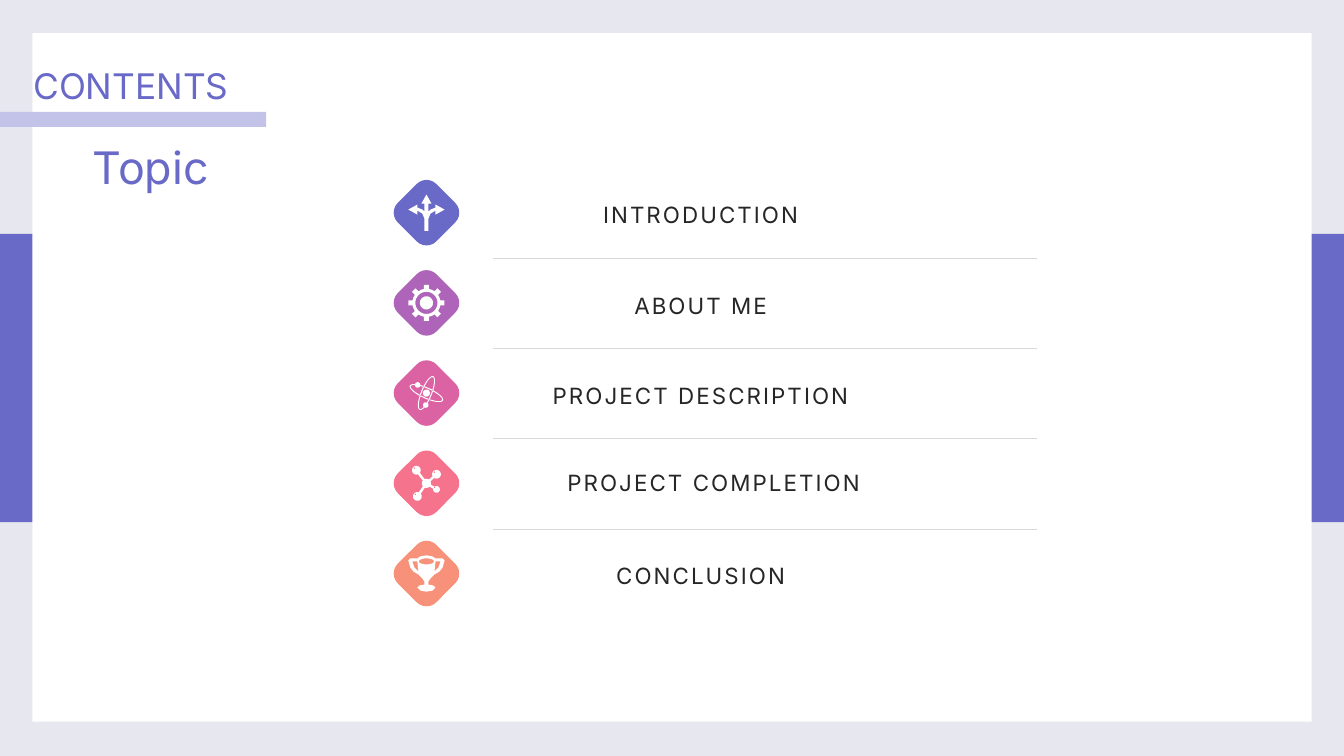
from math import atan2, cos, hypot, pi, radians, sin

from lxml.etree import SubElement
from pptx import Presentation
from pptx.dml.color import RGBColor
from pptx.enum.shapes import MSO_CONNECTOR, MSO_SHAPE
from pptx.enum.text import MSO_ANCHOR, MSO_AUTO_SIZE, PP_ALIGN
from pptx.oxml.ns import qn
from pptx.util import Inches, Pt

BACKGROUND = RGBColor(0xE7, 0xE7, 0xF0)
WHITE = RGBColor(0xFF, 0xFF, 0xFF)
INDIGO = RGBColor(0x69, 0x69, 0xC7)
LAVENDER = RGBColor(0xC3, 0xC3, 0xE9)
PURPLE = RGBColor(0xAE, 0x64, 0xB8)
PINK = RGBColor(0xDB, 0x63, 0xA3)
CORAL = RGBColor(0xF5, 0x73, 0x8C)
ORANGE = RGBColor(0xF7, 0x91, 0x79)
INK = RGBColor(0x26, 0x26, 0x26)
RULE = RGBColor(0xD9, 0xD9, 0xD9)

FIRST_ROW = 2.11
ROW_STEP = 0.895
ICON_X = 4.23
DIAMOND_SIZE = 0.54


def write_text(shape, text, size=16, color=INK, align=PP_ALIGN.LEFT,
               anchor=MSO_ANCHOR.TOP, line_spacing=None, tracking=None):
    frame = shape.text_frame
    frame.word_wrap = True
    frame.auto_size = MSO_AUTO_SIZE.NONE
    frame.vertical_anchor = anchor
    paragraph = frame.paragraphs[0]
    paragraph.alignment = align
    paragraph.line_spacing = line_spacing
    run = paragraph.add_run()
    run.text = text
    run.font.name = "Inter"
    run.font.size = Pt(size)
    run.font.color.rgb = color
    if tracking:
        run.font._element.set("spc", str(round(tracking * 100)))


def ellipse(x, y, radius_x, radius_y=None):
    radius_y = radius_y or radius_x
    angles = [2 * pi * step / 32 for step in range(32)]
    return [(x + radius_x * cos(a), y + radius_y * sin(a)) for a in angles]


def mirrored(half):
    """Close a right-hand outline with its reflection in the vertical axis."""
    return half + [(-x, y) for x, y in reversed(half)]


def arrows_icon():
    return [mirrored([(0, -0.18), (0.05, -0.09), (0.02, -0.09), (0.02, -0.01),
                      (0.04, -0.03), (0.09, -0.05), (0.09, -0.08), (0.18, -0.03),
                      (0.09, 0.02), (0.09, -0.02), (0.04, 0.01), (0.02, 0.06),
                      (0.02, 0.18)])]


def gear_icon():
    profile = [(-10, 0.14), (-8, 0.18), (8, 0.18), (10, 0.14), (22.5, 0.14)]
    teeth = [(radius * cos(radians(45 * tooth + angle)),
              radius * sin(radians(45 * tooth + angle)))
             for tooth in range(8) for angle, radius in profile]
    return [teeth, ellipse(0, 0, 0.11), ellipse(0, 0, 0.065)]


def orbit(tilt, electron_angle):
    """Return a tilted ring with a gap, and the electron that fills the gap."""
    def point(angle, major, minor):
        along, across = major * cos(radians(angle)), minor * sin(radians(angle))
        turn = radians(tilt)
        return (along * cos(turn) - across * sin(turn),
                along * sin(turn) + across * cos(turn))

    angles = [electron_angle + 11 + 338 * step / 48 for step in range(49)]
    ring = ([point(a, 0.18, 0.055) for a in angles]
            + [point(a, 0.17, 0.045) for a in reversed(angles)])
    return [ring, ellipse(*point(electron_angle, 0.175, 0.05), 0.027)]


def atom_icon():
    return [ellipse(0, 0, 0.035)] + orbit(24, 230) + orbit(-68, 130)


def molecule_icon():
    core = 0.045
    contours = [ellipse(0, 0, core)]
    for x, y, radius in [(-0.1, -0.13, 0.043), (0.1, -0.09, 0.043),
                         (-0.09, 0.13, 0.043), (0.1, 0.06, 0.033)]:
        angle, length = atan2(y, x), hypot(x, y)
        side_x, side_y = -0.012 * sin(angle), 0.012 * cos(angle)
        start_x, start_y = core * cos(angle), core * sin(angle)
        end_x = (length - radius) * cos(angle)
        end_y = (length - radius) * sin(angle)
        contours += [ellipse(x, y, radius),
                     ellipse(x - 0.02, y - 0.02, 0.008),
                     [(start_x + side_x, start_y + side_y),
                      (end_x + side_x, end_y + side_y),
                      (end_x - side_x, end_y - side_y),
                      (start_x - side_x, start_y - side_y)]]
    return contours


def trophy_icon():
    cup = [(0, -0.18), (0.06, -0.17), (0.09, -0.15), (0.16, -0.15),
           (0.18, -0.13), (0.16, -0.06), (0.13, -0.02), (0.08, 0.01),
           (0.04, 0.05), (0.02, 0.08), (0.02, 0.11), (0.07, 0.12),
           (0.09, 0.14), (0.06, 0.17), (0, 0.18)]
    handle = [(0.09, -0.12), (0.14, -0.12), (0.12, -0.06), (0.08, -0.02)]
    return [mirrored(cup), ellipse(0, -0.12, 0.075, 0.03),
            handle, [(-x, y) for x, y in handle]]


class ContentsSlide:
    def __init__(self, presentation):
        self.slide = presentation.slides.add_slide(presentation.slide_layouts[5])
        self.shapes = self.slide.shapes
        fill = self.slide.background.fill
        fill.solid()
        fill.fore_color.rgb = BACKGROUND

    def paint(self, shape, color):
        shape.shadow.inherit = False
        shape.fill.solid()
        shape.fill.fore_color.rgb = color
        shape.line.fill.background()

    def box(self, left, top, width, height, color, kind=MSO_SHAPE.RECTANGLE):
        shape = self.shapes.add_shape(kind, Inches(left), Inches(top),
                                      Inches(width), Inches(height))
        self.paint(shape, color)
        return shape

    def diamond(self, center_y, color):
        half = DIAMOND_SIZE / 2
        shape = self.box(ICON_X - half, center_y - half, DIAMOND_SIZE,
                         DIAMOND_SIZE, color, MSO_SHAPE.ROUNDED_RECTANGLE)
        shape.adjustments[0] = 0.254
        shape.rotation = 45

    def icon(self, center_y, contours):
        """Draw all contours as one white outline; inner ones are holes."""
        outlines = [[(Inches(x), Inches(y)) for x, y in c] for c in contours]
        builder = self.shapes.build_freeform(*outlines[0][0])
        for number, outline in enumerate(outlines):
            if number:
                builder.move_to(*outline[0])
            builder.add_line_segments(outline[1:], close=True)
        self.paint(builder.convert_to_shape(Inches(ICON_X), Inches(center_y)), WHITE)

    def divider(self, y):
        line = self.shapes.add_connector(MSO_CONNECTOR.STRAIGHT, Inches(4.89),
                                         Inches(y), Inches(10.29), Inches(y))
        line.line.color.rgb = RULE
        line.line.width = Pt(0.25)
        SubElement(line.element.spPr, qn("a:effectLst"))

    def title(self, text):
        title = self.shapes.title
        title.left, title.top = Inches(0.23), Inches(0.3)
        title.width, title.height = Inches(2.41), Inches(0.81)
        title.element.getparent().append(title.element)
        write_text(title, text, size=25.2, color=INDIGO, anchor=MSO_ANCHOR.BOTTOM)

    def subtitle(self, text):
        box = self.shapes.add_textbox(Inches(0.82), Inches(1.34), Inches(2), Inches(0.64))
        write_text(box, text, size=32, color=INDIGO)


def main():
    presentation = Presentation()
    presentation.slide_width = Inches(13.33)
    presentation.slide_height = Inches(7.5)
    contents = ContentsSlide(presentation)
    contents.box(0, 2.32, 13.33, 2.86, INDIGO)
    contents.box(0.32, 0.33, 12.69, 6.83, WHITE)

    topics = [("INTRODUCTION", INDIGO, arrows_icon, 4.62, 1.2),
              ("ABOUT ME", PURPLE, gear_icon, 4.62, 1.2),
              ("PROJECT DESCRIPTION", PINK, atom_icon, 4.62, 1.2),
              ("PROJECT COMPLETION", CORAL, molecule_icon, 4.75, 1.0),
              ("CONCLUSION", ORANGE, trophy_icon, 4.62, 1.2)]
    for row, (name, color, draw_icon, left, spacing) in enumerate(topics):
        center_y = FIRST_ROW + row * ROW_STEP
        label = contents.box(left, center_y - 0.33, 4.66, 0.65, WHITE)
        write_text(label, name, align=PP_ALIGN.CENTER, anchor=MSO_ANCHOR.MIDDLE,
                   line_spacing=spacing, tracking=1.5)
        contents.diamond(center_y, color)
        contents.icon(center_y, draw_icon())
        if row < len(topics) - 1:
            contents.divider(center_y + 0.45)

    contents.box(-0.01, 1.11, 2.65, 0.15, LAVENDER)
    contents.title("CONTENTS")
    contents.subtitle("Topic")
    presentation.save("out.pptx")


if __name__ == "__main__":
    main()
